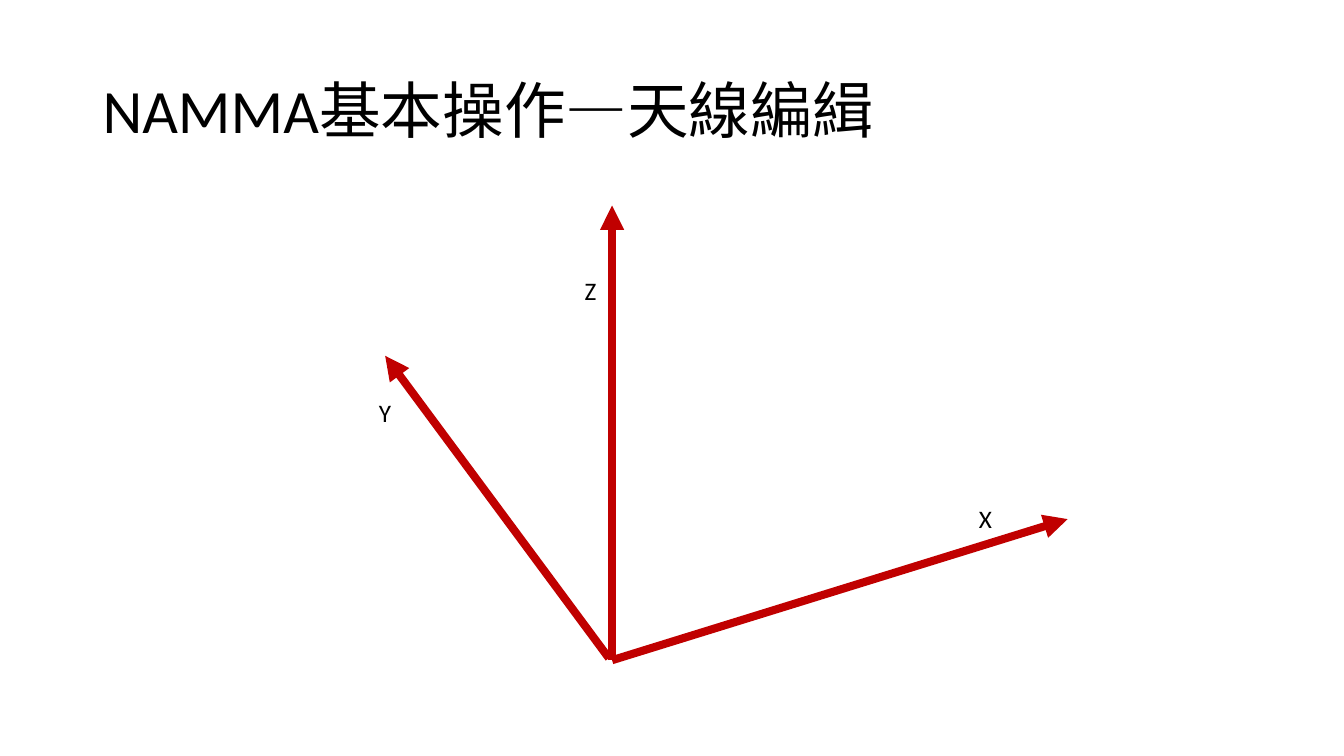
from pptx import Presentation, util as u
from pptx.dml.color import RGBColor
from pptx.enum import shapes, text
from pptx.oxml.ns import qn
from lxml import etree

COLORS = {"ink": "000000", "axis": "C00000"}


class Deck:
    """Holds the style and the current slide; lengths are percent of the slide."""

    font = "Calibri"
    weight = 5.75

    def __init__(self):
        self.prs = Presentation()
        self.prs.slide_width = u.Inches(13.33)
        self.prs.slide_height = u.Inches(7.5)
        self.slide = self.prs.slides.add_slide(self.prs.slide_layouts[6])

    def x(self, share):
        return int(self.prs.slide_width * share / 100)

    def y(self, share):
        return int(self.prs.slide_height * share / 100)

    def color(self, name):
        return RGBColor.from_string(COLORS[name])

    def words(self, words, left, top, wide, high, size, wrap=False):
        box = self.slide.shapes.add_textbox(
            self.x(left), self.y(top), self.x(wide), self.y(high))
        frame = box.text_frame
        frame.word_wrap = wrap
        run = frame.paragraphs[0].add_run()
        run.text = words
        run.font.name = self.font
        run.font.size = u.Pt(size)
        run.font.color.rgb = self.color("ink")
        return frame

    def title(self, words):
        frame = self.words(words, 6.9, 5.33, 86.27, 19.33, 44, wrap=True)
        frame.vertical_anchor = text.MSO_ANCHOR.MIDDLE
        frame.paragraphs[0].line_spacing = 0.9

    def label(self, words, left, top):
        self.words(words, left, top, 2.48, 5.33, 18)

    def arrow(self, start, end):
        line = self.slide.shapes.add_connector(
            shapes.MSO_CONNECTOR.STRAIGHT,
            self.x(start[0]), self.y(start[1]), self.x(end[0]), self.y(end[1]))
        line.line.color.rgb = self.color("axis")
        line.line.width = u.Pt(self.weight)
        props = line._element.spPr
        etree.SubElement(props.find(qn("a:ln")), qn("a:tailEnd"), type="triangle")
        etree.SubElement(props, qn("a:effectLst"))


def main():
    deck = Deck()

    # Heading
    deck.title("NAMMA基本操作—天線編緝")

    # Axes: name, start, tip, label corner
    base = (45.54, 87.33)
    axes = [
        ("X", base, (79.44, 68.67), (72.09, 65.87)),
        ("Y", (45.31, 87.07), (28.66, 47.07), (27.46, 51.87)),
        ("Z", base, (45.54, 27.2), (42.76, 35.73)),
    ]
    for name, start, tip, spot in axes:
        deck.arrow(start, tip)
        deck.label(name, *spot)

    deck.prs.save("out.pptx")


if __name__ == "__main__":
    main()
